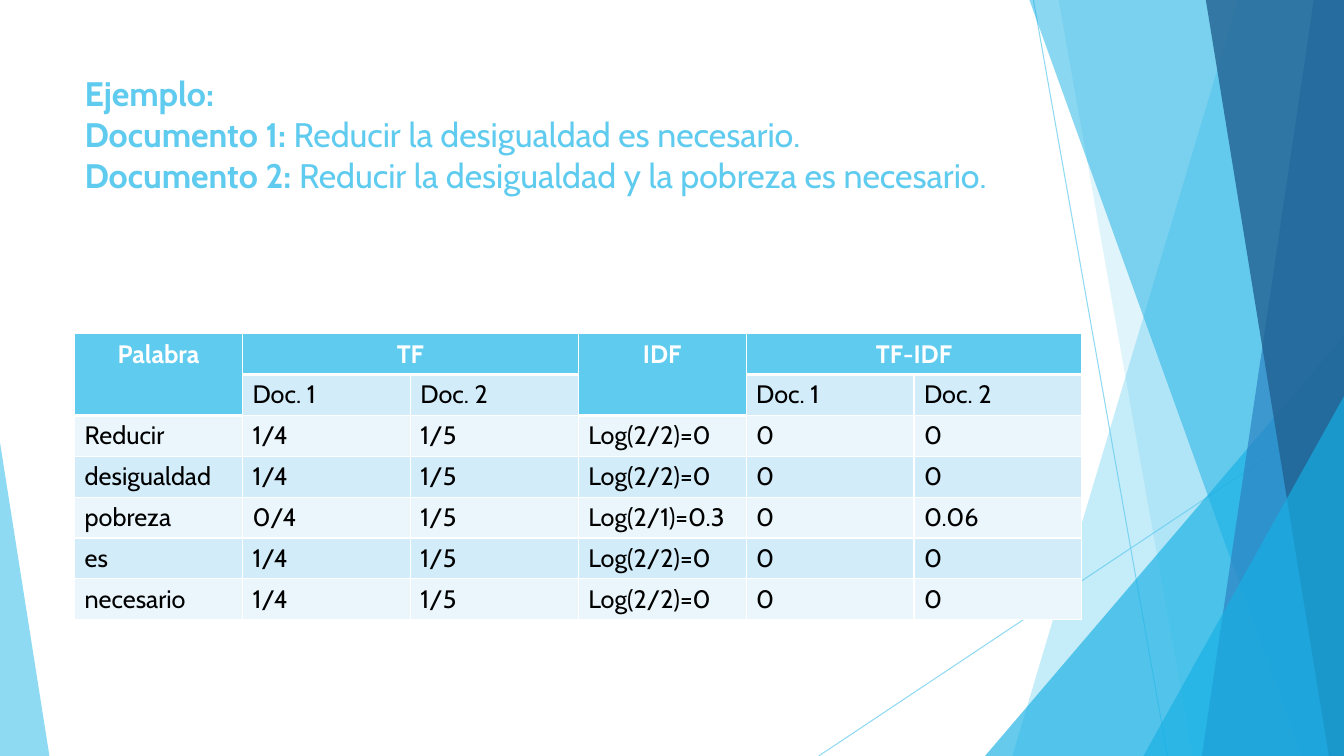
from dataclasses import dataclass

import lxml.etree
import pptx
import pptx.dml.color
import pptx.enum.shapes
import pptx.enum.text
import pptx.oxml
import pptx.oxml.ns
import pptx.util

Inches = pptx.util.Inches
FONT = "Cabin"
COLORS = {
    "white": "FFFFFF",
    "black": "000000",
    "sky": "5FCBEF",
    "cyan": "17B0E4",
    "blue": "2E83C3",
    "navy": "226292",
    "band dark": "D2ECF9",
    "band light": "EAF6FC",
}
WIDTH, HEIGHT = 13.33, 7.5


@dataclass
class Ray:
    start: tuple[float, float]
    end: tuple[float, float]


@dataclass
class Band:
    """A panel reaching the right edge, with a slanted left side."""
    top_left: float
    bottom_left: float
    color: str
    opacity: int


@dataclass
class Corner:
    """A right triangle; apex is 0 for the left side and 1 for the right."""
    left: float
    top: float
    width: float
    apex: int
    color: str
    opacity: int


RAYS = [Ray((10.25, 0), (11.58, HEIGHT)), Ray((WIDTH, 4.03), (8.12, HEIGHT))]
PANELS = [
    Band(12.28, 10.04, "sky", 36),
    Band(10.5, 11.83, "sky", 20),
    Corner(9.77, 3.33, 3.56, 1, "cyan", 66),
    Band(10.21, 12.91, "cyan", 50),
    Band(13.03, 11.92, "blue", 70),
    Band(11.96, 13.18, "navy", 80),
    Corner(11.34, 3.93, 1.99, 1, "cyan", 66),
    Corner(0, 4.39, 0.49, 0, "sky", 70),
]
TITLE_LINES = [
    ("Ejemplo:", ""),
    ("Documento 1:", " Reducir la desigualdad es necesario."),
    ("Documento 2:", " Reducir la desigualdad y la pobreza es necesario."),
]
ROWS = [
    ["Palabra", "TF", "", "IDF", "TF-IDF", ""],
    ["", "Doc. 1", "Doc. 2", "", "Doc. 1", "Doc. 2"],
    ["Reducir", "1/4", "1/5", "Log(2/2)=0", "0", "0"],
    ["desigualdad", "1/4", "1/5", "Log(2/2)=0", "0", "0"],
    ["pobreza", "0/4", "1/5", "Log(2/1)=0.3", "0", "0.06"],
    ["es", "1/4", "1/5", "Log(2/2)=0", "0", "0"],
    ["necesario", "1/4", "1/5", "Log(2/2)=0", "0", "0"],
]
TALL_COLUMNS = (0, 3)
WIDE_COLUMNS = (1, 4)


def rgb(name: str) -> pptx.dml.color.RGBColor:
    return pptx.dml.color.RGBColor.from_string(COLORS[name])


def set_opacity(color_parent, percent: int) -> None:
    for color in color_parent.iter(pptx.oxml.ns.qn("a:srgbClr")):
        alpha = lxml.etree.SubElement(color, pptx.oxml.ns.qn("a:alpha"))
        alpha.set("val", str(percent * 1000))


def add_ray(page, ray: Ray) -> None:
    line = page.shapes.add_connector(
        pptx.enum.shapes.MSO_CONNECTOR.STRAIGHT,
        *(Inches(value) for value in ray.start + ray.end))
    line.line.color.rgb = rgb("sky")
    line.line.width = pptx.util.Pt(0.75)
    properties = line.element.spPr
    set_opacity(properties, 70)
    lxml.etree.SubElement(properties, pptx.oxml.ns.qn("a:effectLst"))


def add_panel(page, panel: Band | Corner) -> None:
    if isinstance(panel, Band):
        builder = page.shapes.build_freeform(Inches(panel.top_left), 0)
        corners = [(WIDTH, 0), (WIDTH, HEIGHT), (panel.bottom_left, HEIGHT)]
        builder.add_line_segments([(Inches(x), Inches(y)) for x, y in corners])
        shape = builder.convert_to_shape()
    else:
        shape = page.shapes.add_shape(
            pptx.enum.shapes.MSO_SHAPE.ISOSCELES_TRIANGLE,
            Inches(panel.left), Inches(panel.top),
            Inches(panel.width), Inches(HEIGHT - panel.top))
        shape.adjustments[0] = panel.apex
    shape.shadow.inherit = False
    shape.line.fill.background()
    shape.fill.solid()
    shape.fill.fore_color.rgb = rgb(panel.color)
    set_opacity(shape.element.spPr, panel.opacity)


def add_span(para, text: str, *, size: float, color: str, bold: bool = False) -> None:
    span = para.add_run()
    span.text = text
    span.font.name = FONT
    span.font.size = pptx.util.Pt(size)
    span.font.bold = bold
    span.font.color.rgb = rgb(color)


def add_title(page) -> None:
    box = page.shapes.add_textbox(Inches(0.74), Inches(0.67), Inches(9.4), Inches(1.88))
    box.text_frame.word_wrap = True
    para = box.text_frame.paragraphs[0]
    for index, (label, sentence) in enumerate(TITLE_LINES):
        if index:
            para.add_line_break()
        add_span(para, label, size=24.3, color="sky", bold=True)
        if sentence:
            add_span(para, sentence, size=24.3, color="sky")


def set_borders(cell, *, top: float, bottom: float) -> None:
    properties = cell._tc.get_or_add_tcPr()
    for side, width in {"L": 1, "R": 1, "T": top, "B": bottom}.items():
        properties.append(pptx.oxml.parse_xml(
            f'<a:ln{side} {pptx.oxml.ns.nsdecls("a")} w="{pptx.util.Pt(width)}">'
            f'<a:solidFill><a:srgbClr val="{COLORS["white"]}"/></a:solidFill>'
            f'</a:ln{side}>'))


def add_word_table(page) -> None:
    row_count, column_count = len(ROWS), len(ROWS[0])
    table = page.shapes.add_table(
        row_count, column_count,
        Inches(0.74), Inches(3.31), Inches(9.99), Inches(2.84)).table
    for column in TALL_COLUMNS:
        table.cell(0, column).merge(table.cell(1, column))
    for column in WIDE_COLUMNS:
        table.cell(0, column).merge(table.cell(0, column + 1))

    for row, texts in enumerate(ROWS):
        for column, text in enumerate(texts):
            cell = table.cell(row, column)
            header_rows = 2 if column in TALL_COLUMNS else 1
            is_header = row < header_rows
            set_borders(cell, top=3 if row == header_rows else 1,
                        bottom=3 if is_header else 1)
            cell.fill.solid()
            band = "band dark" if row % 2 else "band light"
            cell.fill.fore_color.rgb = rgb("sky" if is_header else band)
            if text:
                para = cell.text_frame.paragraphs[0]
                if is_header:
                    para.alignment = pptx.enum.text.PP_ALIGN.CENTER
                add_span(para, text, size=18, bold=is_header,
                         color="white" if is_header else "black")


def main() -> None:
    deck = pptx.Presentation()
    deck.slide_width, deck.slide_height = Inches(WIDTH), Inches(HEIGHT)
    page = deck.slides.add_slide(deck.slide_layouts[6])
    for ray in RAYS:
        add_ray(page, ray)
    for panel in PANELS:
        add_panel(page, panel)
    add_title(page)
    add_word_table(page)
    deck.save("out.pptx")


if __name__ == "__main__":
    main()
